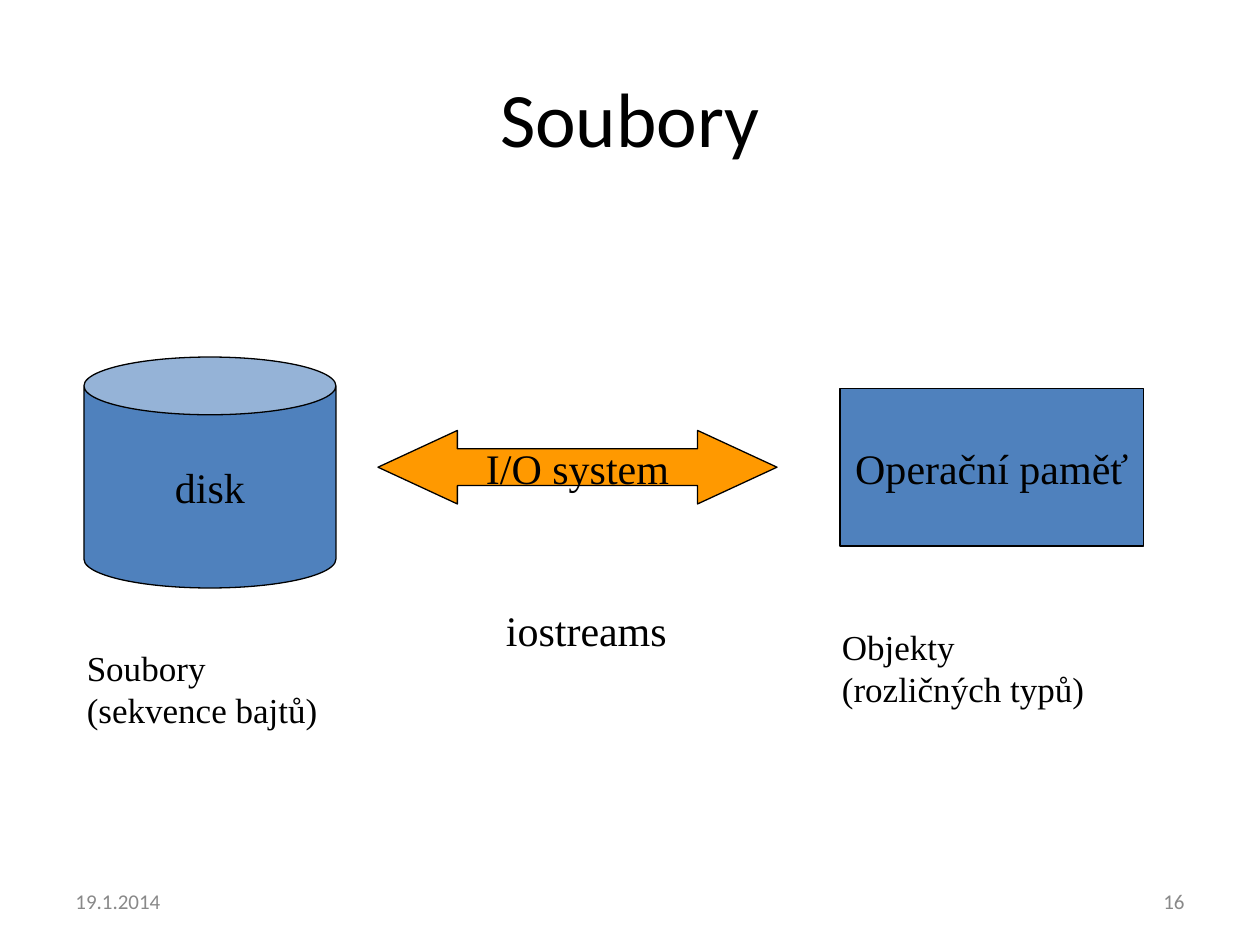
from pptx import Presentation
from pptx.dml.color import RGBColor
from pptx.enum.shapes import MSO_SHAPE
from pptx.enum.text import MSO_ANCHOR, MSO_AUTO_SIZE, PP_ALIGN
from pptx.util import Pt

CAN, ARROW, RECTANGLE = MSO_SHAPE.CAN, MSO_SHAPE.LEFT_RIGHT_ARROW, MSO_SHAPE.RECTANGLE
TOP, MIDDLE = MSO_ANCHOR.TOP, MSO_ANCHOR.MIDDLE
LEFT, CENTER, RIGHT = PP_ALIGN.LEFT, PP_ALIGN.CENTER, PP_ALIGN.RIGHT
GROW, FIXED = MSO_AUTO_SIZE.SHAPE_TO_FIT_TEXT, MSO_AUTO_SIZE.NONE

THEME = {
    "blue": RGBColor(0x4F, 0x81, 0xBD),
    "orange": RGBColor(0xFF, 0x99, 0x00),
    "black": RGBColor(0, 0, 0),
    "title": {"name": "Calibri", "size": Pt(44), "color": RGBColor(0, 0, 0)},
    "footer": {"name": "Calibri", "size": Pt(12), "color": RGBColor(0x89, 0x89, 0x89)},
    "label": {"name": "Times New Roman", "size": Pt(24), "color": RGBColor(0, 0, 0)},
    "caption": {"name": "Times New Roman", "size": Pt(20), "color": RGBColor(0, 0, 0)},
}


def write(box, lines, style, align, **frame_format):
    """Fill a box with one paragraph per line; a newline inside a line is a soft break."""
    frame = box.text_frame
    for name, value in frame_format.items():
        setattr(frame, name, value)
    for index, line in enumerate(lines):
        para = frame.add_paragraph() if index else frame.paragraphs[0]
        para.text = line
        para.alignment = align
        for span in para.runs:
            span.font.name = THEME[style]["name"]
            span.font.size = THEME[style]["size"]
            span.font.color.rgb = THEME[style]["color"]


deck = Presentation()
deck.slide_width, deck.slide_height = Pt(720), Pt(540)
page = deck.slides.add_slide(deck.slide_layouts[5])

title = page.shapes.title
title.left, title.top, title.width, title.height = Pt(36), Pt(21.6), Pt(648), Pt(90)
write(title, ["Soubory"], "title", CENTER, vertical_anchor=MIDDLE)

# Date and page number
for left, text, align in [(36, "19.1.2014", LEFT), (516, "16", RIGHT)]:
    box = page.shapes.add_textbox(Pt(left), Pt(500.5), Pt(168), Pt(28.75))
    write(box, [text], "footer", align, vertical_anchor=MIDDLE, word_wrap=True)

# Disk <-> I/O system <-> memory
parts = [
    (CAN, (48, 204, 144, 132), "blue", [0.25], "disk"),
    (ARROW, (216, 246, 228, 42), "orange", [0.5, 1.08], "I/O system"),
    (RECTANGLE, (480, 222, 173.5, 90), "blue", [], "Operační paměť"),
]
for kind, place, fill, adjustments, text in parts:
    part = page.shapes.add_shape(kind, *map(Pt, place))
    part.shadow.inherit = False
    for index, value in enumerate(adjustments):
        part.adjustments[index] = value
    part.fill.solid()
    part.fill.fore_color.rgb = THEME[fill]
    part.line.color.rgb = THEME["black"]
    part.line.width = Pt(0.75)
    write(part, [text], "label", CENTER, vertical_anchor=MIDDLE, word_wrap=False)

# Captions below the parts
captions = [
    ((42.5, 366, 146, 55.5), ["Soubory", "(sekvence bajtů)"], "caption", False, GROW),
    ((282, 342, 106.5, 36), ["iostreams"], "label", False, GROW),
    ((474, 354, 210, 55.5), ["Objekty\n(rozličných typů)"], "caption", True, FIXED),
]
for place, lines, style, wrap, sizing in captions:
    box = page.shapes.add_textbox(*map(Pt, place))
    write(box, lines, style, LEFT, vertical_anchor=TOP, word_wrap=wrap, auto_size=sizing)

deck.save("out.pptx")
